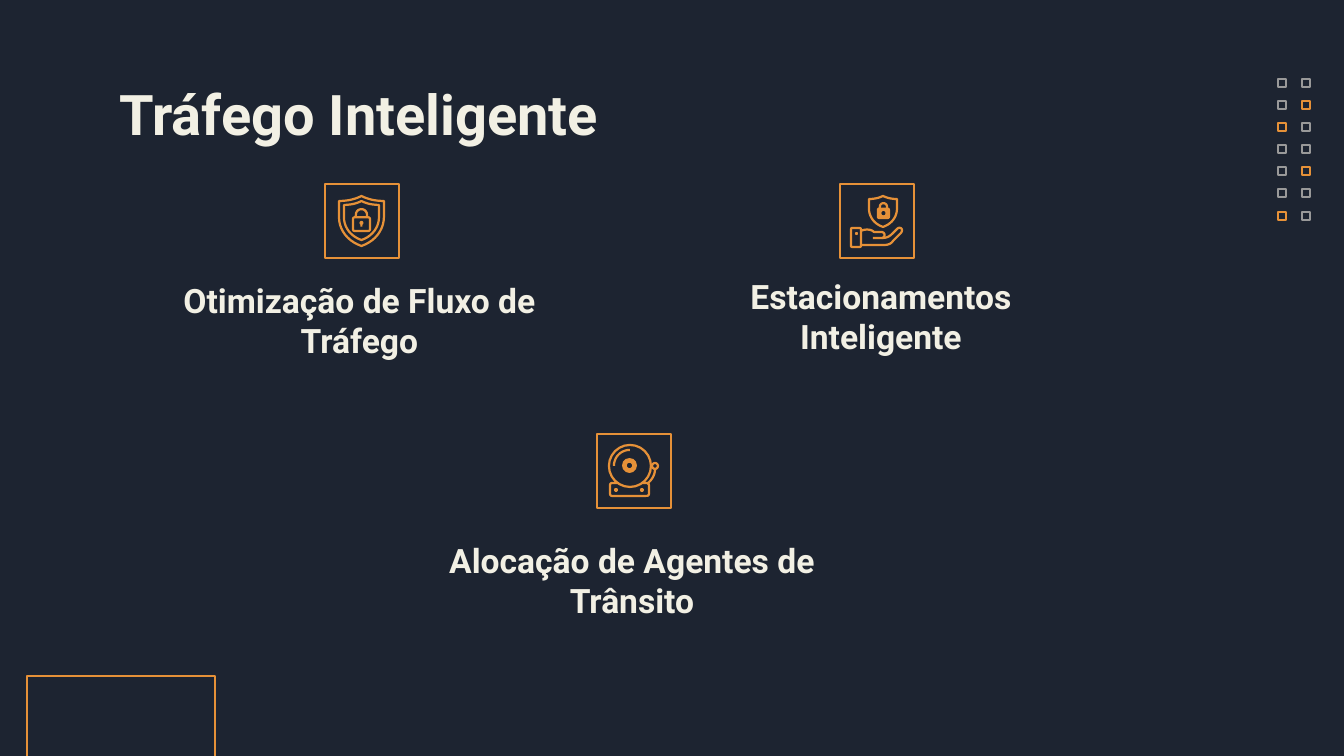
import dataclasses
import typing

import pptx
import pptx.dml.color
import pptx.enum.shapes
import pptx.enum.text
import pptx.util

EMU_PER_PX = 9144000 / 1344
KIND = pptx.enum.shapes.MSO_SHAPE


@dataclasses.dataclass(frozen=True)
class Theme:
    """Colours, font and point sizes of the slide."""
    night: str = "1D2431"
    cream: str = "F2F0E4"
    orange: str = "E69138"
    grey: str = "999999"
    font: str = "Roboto"
    title: int = 30
    topic: int = 18
    frame: float = 0.75
    stroke: float = 1.2


class Box(typing.NamedTuple):
    """A rectangle in px."""
    left: int
    top: int
    width: int
    height: int

    def inner(self, left, top, width, height):
        """Return a box given relative to this one."""
        return Box(self.left + left, self.top + top, width, height)


THEME = Theme()


def emu(px):
    """Turn px into EMU."""
    return round(px * EMU_PER_PX)


def rgb(colour):
    """Turn a hex string into a colour."""
    return pptx.dml.color.RGBColor.from_string(colour)


def paint(shape, fill=None, line=None, weight=THEME.stroke):
    """Set the fill and line of a shape and drop its shadow."""
    shape.shadow.inherit = False
    if fill:
        shape.fill.solid()
        shape.fill.fore_color.rgb = rgb(fill)
    else:
        shape.fill.background()
    if line:
        shape.line.color.rgb = rgb(line)
        shape.line.width = pptx.util.Pt(weight)
    else:
        shape.line.fill.background()


def preset(slide, kind, box, adjust=None, **style):
    """Add a painted preset shape."""
    shape = slide.shapes.add_shape(kind, *map(emu, box))
    if adjust is not None:
        shape.adjustments[0] = adjust
    paint(shape, **style)


def bezier(start, first, second, end, count=10):
    """Return points along a cubic curve, without its start."""
    points = []
    for t in (step / count for step in range(1, count + 1)):
        weights = ((1 - t) ** 3, 3 * t * (1 - t) ** 2, 3 * t * t * (1 - t), t ** 3)
        points.append(tuple(sum(w * p[axis] for w, p in zip(weights, (start, first, second, end)))
                            for axis in (0, 1)))
    return points


def outline(slide, box, start, steps, closed=False):
    """Stroke a path of lines (one point) and curves (three points) inside a box."""
    points = [start]
    for step in steps:
        points += bezier(points[-1], *step) if len(step) == 3 else step
    places = [(emu(box.left + x), emu(box.top + y)) for x, y in points]
    builder = slide.shapes.build_freeform(*places[0], scale=1.0)
    builder.add_line_segments(places[1:], close=closed)
    paint(builder.convert_to_shape(), line=THEME.orange)


def shield(slide, box):
    """Draw a shield that fills the box."""
    w, h = box.width, box.height
    outline(slide, box, (w / 2, 0), [
        ((w * 0.65, h * 0.07), (w * 0.82, h * 0.1), (w, h * 0.1)),
        ((w, h * 0.42),),
        ((w, h * 0.68), (w * 0.8, h * 0.91), (w / 2, h)),
        ((w * 0.2, h * 0.91), (0, h * 0.68), (0, h * 0.42)),
        ((0, h * 0.1),),
        ((w * 0.18, h * 0.1), (w * 0.35, h * 0.07), (w / 2, 0)),
    ], closed=True)


def padlock(slide, box, solid=False):
    """Draw a padlock with its shackle and keyhole."""
    w, h = box.width, box.height
    base, left, right = h * 0.38, w * 0.17, w * 0.83
    outline(slide, box, (left, base), [
        ((left, h * 0.28),),
        ((left, -h * 0.08), (right, -h * 0.08), (right, h * 0.28)),
        ((right, base),),
    ])
    preset(slide, KIND.ROUNDED_RECTANGLE, box.inner(0, base, w, h - base), 0.12,
           fill=THEME.orange if solid else None, line=THEME.orange)
    hole = THEME.night if solid else THEME.orange
    preset(slide, KIND.OVAL, box.inner(w / 2 - 2, h * 0.54, 4, 4), fill=hole)
    preset(slide, KIND.RECTANGLE, box.inner(w / 2 - 1, h * 0.6, 2, h * 0.2), fill=hole)


def guarded_shield(slide, box):
    """Draw the icon of a double shield around a padlock."""
    shield(slide, box.inner(14, 12, 45, 50))
    shield(slide, box.inner(19, 17, 35, 39))
    padlock(slide, box.inner(28, 25, 17, 22))


def guarding_hand(slide, box):
    """Draw the icon of a hand that holds up a shield."""
    shield(slide, box.inner(29, 12, 28, 31))
    padlock(slide, box.inner(38, 19, 11, 15), solid=True)
    preset(slide, KIND.ROUNDED_RECTANGLE, box.inner(11, 44, 10, 19), 0.12, line=THEME.orange)
    preset(slide, KIND.OVAL, box.inner(15, 48, 3, 3), fill=THEME.orange)
    outline(slide, box, (21, 47), [
        ((25, 45), (31, 45), (34, 48)), ((42, 48),),
        ((46, 49), (45, 54), (42, 54)), ((33, 54),),
    ])
    outline(slide, box, (42, 54), [
        ((46, 54), (49, 53), (52, 50)), ((57, 45),),
        ((60, 42), (64, 45), (61, 49)), ((53, 57),),
        ((51, 60), (48, 61), (44, 61)), ((21, 61),),
    ])


def alarm_bell(slide, box):
    """Draw the icon of an alarm bell."""
    outline(slide, box, (58, 35), [((58, 41), (55, 46), (50, 50))])
    preset(slide, KIND.ROUNDED_RECTANGLE, box.inner(13, 49, 39, 13), 0.16, line=THEME.orange)
    preset(slide, KIND.OVAL, box.inner(12, 11, 42, 42), fill=THEME.night, line=THEME.orange)
    outline(slide, box, (17, 32), [((17, 23), (24, 16), (33, 16))])
    preset(slide, KIND.DONUT, box.inner(25, 24, 15, 15), 0.32, fill=THEME.orange)
    preset(slide, KIND.OVAL, box.inner(55, 29, 6, 6), line=THEME.orange)
    for bolt in (17, 43):
        preset(slide, KIND.OVAL, box.inner(bolt, 54, 4, 4), fill=THEME.orange)


def text(slide, box, words, size, align, anchor):
    """Add one bold paragraph in a wrapping text box."""
    frame = slide.shapes.add_textbox(*map(emu, box)).text_frame
    frame.word_wrap = True
    frame.vertical_anchor = anchor
    frame.margin_left = frame.margin_right = pptx.util.Inches(0.1)
    frame.margin_top = frame.margin_bottom = pptx.util.Inches(0.1)
    paragraph = frame.paragraphs[0]
    paragraph.text = words
    paragraph.alignment = align
    paragraph.font.name = THEME.font
    paragraph.font.size = pptx.util.Pt(size)
    paragraph.font.bold = True
    paragraph.font.color.rgb = rgb(THEME.cream)


def dot_grid(slide, box):
    """Place two columns of seven small squares, a few of them orange."""
    accents = {(0, 2), (0, 6), (1, 1), (1, 4)}
    size, rows = 8, 7
    for column in range(2):
        for row in range(rows):
            place = box.inner(column * (box.width - size),
                              row * (box.height - size) // (rows - 1), size, size)
            preset(slide, KIND.RECTANGLE, place, weight=THEME.frame,
                   line=THEME.orange if (column, row) in accents else THEME.grey)


def topic(slide, box, icon, caption, words):
    """Place a framed icon and its caption, which is given relative to the icon."""
    preset(slide, KIND.RECTANGLE, box, line=THEME.orange, weight=THEME.frame)
    icon(slide, box)
    text(slide, box.inner(*caption), words, THEME.topic,
         pptx.enum.text.PP_ALIGN.CENTER, pptx.enum.text.MSO_ANCHOR.BOTTOM)


def traffic_slide(slide, box):
    """Lay out the smart traffic slide."""
    slide.background.fill.solid()
    slide.background.fill.fore_color.rgb = rgb(THEME.night)
    dot_grid(slide, box.inner(1278, 79, 32, 141))
    preset(slide, KIND.RECTANGLE, box.inner(27, 676, 188, 188),
           line=THEME.orange, weight=THEME.frame)
    text(slide, box.inner(106, 66, 1133, 85), "Tráfego Inteligente", THEME.title,
         pptx.enum.text.PP_ALIGN.LEFT, pptx.enum.text.MSO_ANCHOR.TOP)
    for left, top, icon, caption, words in (
        (325, 184, guarded_shield, (-176, 135, 421, 55), "Otimização de Fluxo de Tráfego"),
        (597, 434, alarm_bell, (-213, 145, 496, 55), "Alocação de Agentes de Trânsito"),
        (840, 184, guarding_hand, (-160, 57, 402, 129), "Estacionamentos Inteligente"),
    ):
        topic(slide, box.inner(left, top, 74, 74), icon, caption, words)


def main():
    """Build and save the presentation."""
    deck = pptx.Presentation()
    page = Box(0, 0, 1344, 756)
    deck.slide_width, deck.slide_height = emu(page.width), emu(page.height)
    traffic_slide(deck.slides.add_slide(deck.slide_layouts[6]), page)
    deck.save("out.pptx")


if __name__ == "__main__":
    main()
